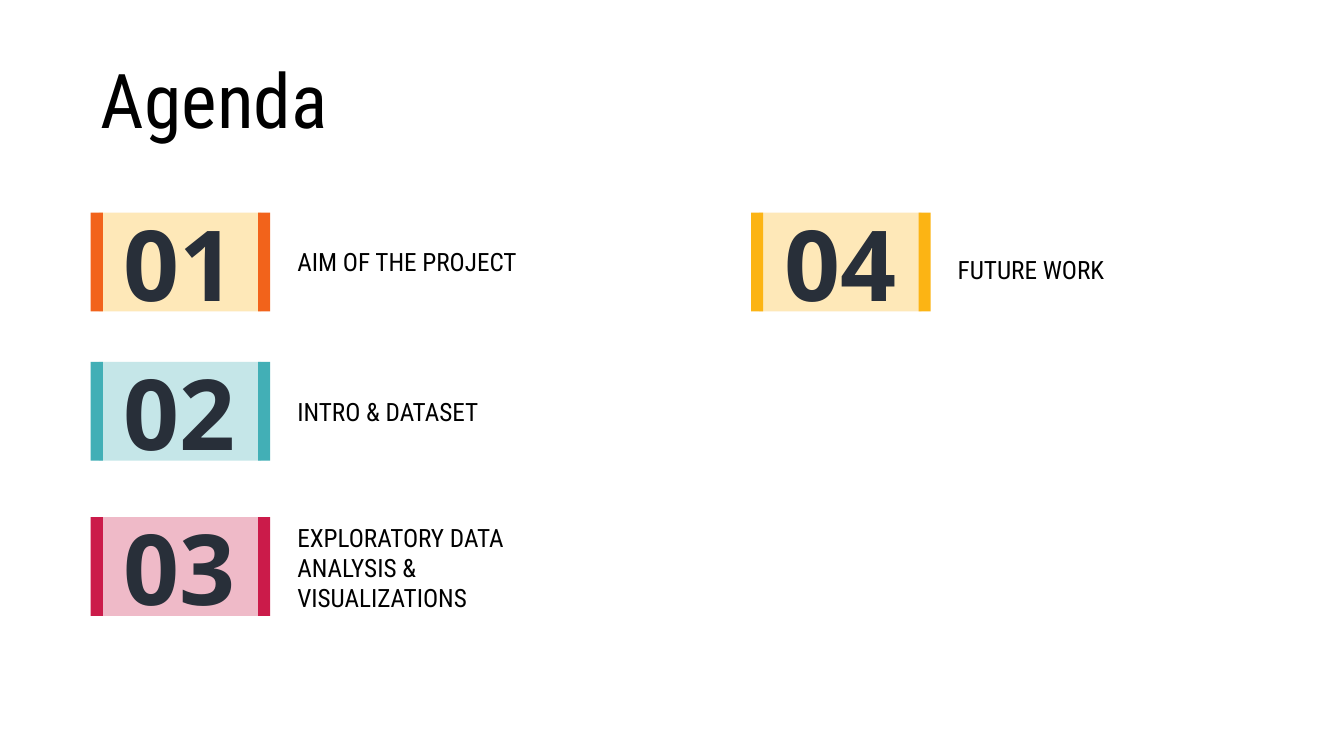
"""Build an agenda slide with four numbered topics."""
import pptx
import pptx.dml.color
import pptx.enum.shapes
import pptx.enum.text
import pptx.oxml
import pptx.oxml.ns
import pptx.util

Inches = pptx.util.Inches
Color = pptx.dml.color.RGBColor
Anchor = pptx.enum.text.MSO_ANCHOR
Align = pptx.enum.text.PP_ALIGN

BLACK = Color(0x00, 0x00, 0x00)
SLATE = Color(0x28, 0x2F, 0x39)
ORANGE = Color(0xF2, 0x63, 0x1B)
YELLOW = Color(0xFC, 0xB4, 0x14)
TEAL = Color(0x42, 0xAF, 0xB6)
CRIMSON = Color(0xCB, 0x1B, 0x4A)

CARD_HEIGHT = 0.98
LEFT_COLUMN, RIGHT_COLUMN = 0.9, 7.45

TOPICS = [
    ("01", "AIM OF THE PROJECT", LEFT_COLUMN, 2.11, ORANGE, YELLOW, 0.28, 0.4),
    ("02", "INTRO & DATASET", LEFT_COLUMN, 3.59, TEAL, TEAL, 0.29, 0.4),
    ("03", "EXPLORATORY DATA ANALYSIS & VISUALIZATIONS",
     LEFT_COLUMN, 5.13, CRIMSON, CRIMSON, 0, 1.01),
    ("04", "FUTURE WORK", RIGHT_COLUMN, 2.11, YELLOW, YELLOW, 0.36, 0.4),
]


class AgendaPage:
    heading = {"name": "Roboto Condensed", "size": pptx.util.Pt(54), "bold": False}
    label = {"name": "Roboto Condensed", "size": pptx.util.Pt(18), "bold": False}
    number = {"name": "Open Sans", "size": pptx.util.Pt(70), "bold": True}

    def __init__(self, deck):
        self.page = deck.slides.add_slide(deck.slide_layouts[5])

    def fill_text(self, box, text, style, color, align=Align.LEFT, anchor=Anchor.TOP):
        frame = box.text_frame
        settings = {
            "word_wrap": True,
            "auto_size": pptx.enum.text.MSO_AUTO_SIZE.SHAPE_TO_FIT_TEXT,
            "vertical_anchor": anchor,
        }
        for name, value in settings.items():
            setattr(frame, name, value)
        para = frame.paragraphs[0]
        para.alignment = align
        span = para.add_run()
        span.text = text
        for name, value in style.items():
            setattr(span.font, name, value)
        span.font.color.rgb = color

    def title(self, text, left, top, width, height):
        box = self.page.shapes.title
        frame = {"left": left, "top": top, "width": width, "height": height}
        for name, value in frame.items():
            setattr(box, name, Inches(value))
        self.fill_text(box, text, self.heading, BLACK)

    def text(self, text, left, top, width, height, style, color, **layout):
        box = self.page.shapes.add_textbox(*map(Inches, (left, top, width, height)))
        self.fill_text(box, text, style, color, **layout)

    def block(self, left, top, width, color, opacity=100):
        box = self.page.shapes.add_shape(
            pptx.enum.shapes.MSO_SHAPE.RECTANGLE,
            *map(Inches, (left, top, width, CARD_HEIGHT)))
        box.shadow.inherit = False
        box.line.fill.background()
        box.fill.solid()
        box.fill.fore_color.rgb = color
        if opacity < 100:
            tint = box.element.spPr.find(".//" + pptx.oxml.ns.qn("a:srgbClr"))
            alpha = pptx.oxml.parse_xml(
                f'<a:alpha {pptx.oxml.ns.nsdecls("a")} val="{opacity * 1000}"/>')
            tint.append(alpha)

    def topic(self, number, label, left, top, edge, tint, label_drop, label_height):
        self.block(left + 0.08, top, 1.61, tint, opacity=30)
        for offset in (0, 1.66):
            self.block(left + offset, top, 0.12, edge)
        self.text(number, left + 0.23, top - 0.15, 1.34, 1.28, self.number, SLATE,
                  align=Align.JUSTIFY, anchor=Anchor.MIDDLE)
        self.text(label, left + 1.95, top + label_drop, 2.81, label_height,
                  self.label, BLACK)


def main():
    deck = pptx.Presentation()
    deck.slide_width, deck.slide_height = Inches(13.33), Inches(7.5)
    agenda = AgendaPage(deck)
    agenda.title("Agenda", 0.9, 0.47, 11.77, 1.01)
    for topic in TOPICS:
        agenda.topic(*topic)
    deck.save("out.pptx")


if __name__ == "__main__":
    main()
